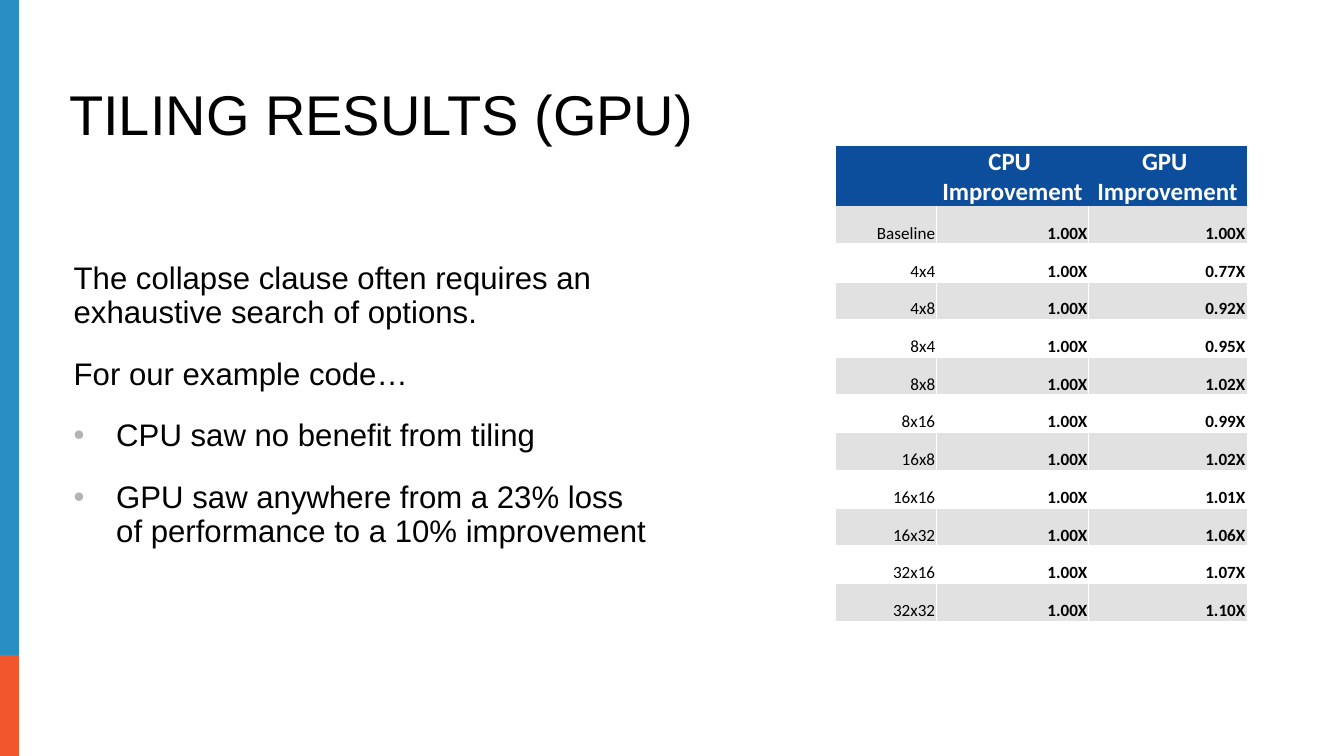
from pptx import Presentation
from pptx import util as u
from pptx.dml.color import RGBColor
from pptx.enum import shapes, text
from pptx.oxml.ns import qn
from lxml import etree

In, Pt = u.Inches, u.Pt
BLACK, WHITE, NAVY, GRAY = "000000", "FFFFFF", "0C4E9B", "E1E1E1"

SIZES = ["4x4", "4x8", "8x4", "8x8", "8x16", "16x8",
         "16x16", "16x32", "32x16", "32x32"]
GPU = ["1.00X", "0.77X", "0.92X", "0.95X", "1.02X", "0.99X",
       "1.02X", "1.01X", "1.06X", "1.07X", "1.10X"]
ROWS = [(name, "1.00X", gain) for name, gain in zip(["Baseline"] + SIZES, GPU)]


def paint(target, color):
    target.solid()
    target.fore_color.rgb = RGBColor.from_string(color)


def add_run(para, words, size, color=BLACK, face="Arial", bold=False):
    run = para.add_run()
    run.text = words
    font = run.font
    font.name, font.size, font.bold = face, Pt(size), bold
    paint(font.fill, color)


def add_box(slide, box, anchor):
    frame = slide.shapes.add_textbox(*map(In, box)).text_frame
    frame.word_wrap = True
    frame.vertical_anchor = anchor
    return frame


def side_bar(slide, box):
    left, top, width, height = box
    # Orange foot first, blue bar over it
    foot = 1.68
    for y, tall, color in [(height - foot, foot, "F1562D"), (0, 5.85, "298EC2")]:
        bar = slide.shapes.add_shape(
            shapes.MSO_SHAPE.RECTANGLE, In(left), In(top + y), In(width), In(tall))
        paint(bar.fill, color)
        bar.line.fill.background()
        bar.shadow.inherit = False


def title(slide, box):
    para = add_box(slide, box, text.MSO_ANCHOR.BOTTOM).paragraphs[0]
    para.line_spacing = 0.9
    add_run(para, "TILING RESULTS (GPU)", 36)


def add_bullet(para):
    props = para._p.get_or_add_pPr()
    props.set("marL", str(In(0.38)))
    props.set("indent", str(-In(0.38)))
    color = etree.SubElement(props, qn("a:buClr"))
    etree.SubElement(color, qn("a:srgbClr"), val="B3B3B3")
    etree.SubElement(props, qn("a:buFont"), typeface="Arial")
    etree.SubElement(props, qn("a:buChar"), char="•")


def body(slide, box):
    frame = add_box(slide, box, text.MSO_ANCHOR.TOP)
    lines = [
        ("The collapse clause often requires an exhaustive search of options.", False),
        ("For our example code…", False),
        ("CPU saw no benefit from tiling", True),
        ("GPU saw anywhere from a 23% loss of performance to a 10% improvement", True),
    ]
    for i, (words, dot) in enumerate(lines):
        para = frame.add_paragraph() if i else frame.paragraphs[0]
        para.line_spacing = 0.9
        para.space_before = Pt(9 if i else 0)
        para.space_after = Pt(9)
        if dot:
            add_bullet(para)
        add_run(para, words, 20)


def add_edges(cell, sides):
    # White line on the given sides, none on the others
    props = cell._tc.get_or_add_tcPr()
    for side in "LRTB":
        line = etree.SubElement(props, qn("a:ln" + side), w=str(Pt(1)))
        if side in sides:
            fill = etree.SubElement(line, qn("a:solidFill"))
            etree.SubElement(fill, qn("a:srgbClr"), val=WHITE)
        else:
            etree.SubElement(line, qn("a:noFill"))


def fill_cell(cell, lines, align, **style):
    cell.margin_left = cell.margin_right = cell.margin_top = In(0.01)
    cell.margin_bottom = 0
    cell.vertical_anchor = text.MSO_ANCHOR.BOTTOM
    frame = cell.text_frame
    for i, words in enumerate(lines):
        para = frame.add_paragraph() if i else frame.paragraphs[0]
        para.alignment = align
        add_run(para, words, face="Calibri", **style)


def results(slide, box):
    height = box[3]
    count = len(ROWS) + 1
    table = slide.shapes.add_table(count, 3, *map(In, box)).table
    table.horz_banding = False
    for col, wide in zip(table.columns, [0.9, 1.36, 1.41]):
        col.width = In(wide)
    for row in table.rows:
        row.height = In(height / count)

    # Header: grows to fit its two lines
    for c, name in enumerate(["", "CPU ", "GPU "]):
        cell = table.cell(0, c)
        add_edges(cell, "")
        paint(cell.fill, NAVY)
        if name:
            fill_cell(cell, [name, "Improvement"], text.PP_ALIGN.CENTER,
                      size=16, color=WHITE, bold=True)

    # Striped rows with white inner edges
    for r, row in enumerate(ROWS, 1):
        for c, words in enumerate(row):
            cell = table.cell(r, c)
            add_edges(cell, "L" * (c > 0) + "R" * (c < 2)
                      + "T" * (r > 1) + "B" * (r < count - 1))
            if r % 2:
                paint(cell.fill, GRAY)
            else:
                cell.fill.background()
            fill_cell(cell, [words], text.PP_ALIGN.RIGHT, size=11, bold=c > 0)


def main():
    deck = Presentation()
    deck.slide_width, deck.slide_height = In(12), In(6.75)
    slide = deck.slides.add_slide(deck.slide_layouts[6])
    side_bar(slide, (-0.03, 0, 0.2, 6.75))
    title(slide, (0.52, 0.69, 6.48, 0.68))
    body(slide, (0.56, 2.3, 5.34, 4.04))
    results(slide, (7.46, 1.3, 3.67, 4.04))
    deck.save("out.pptx")


if __name__ == "__main__":
    main()
